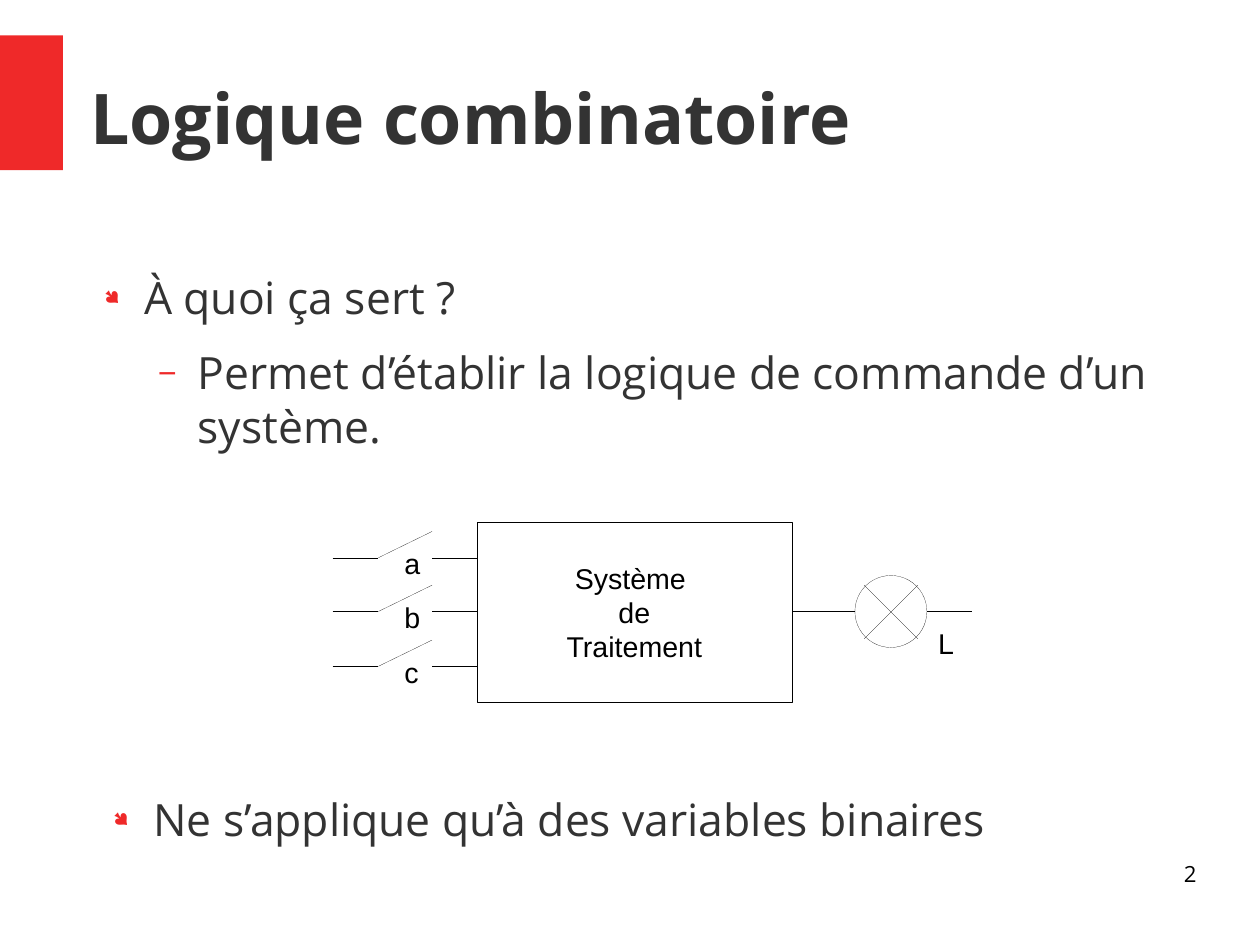
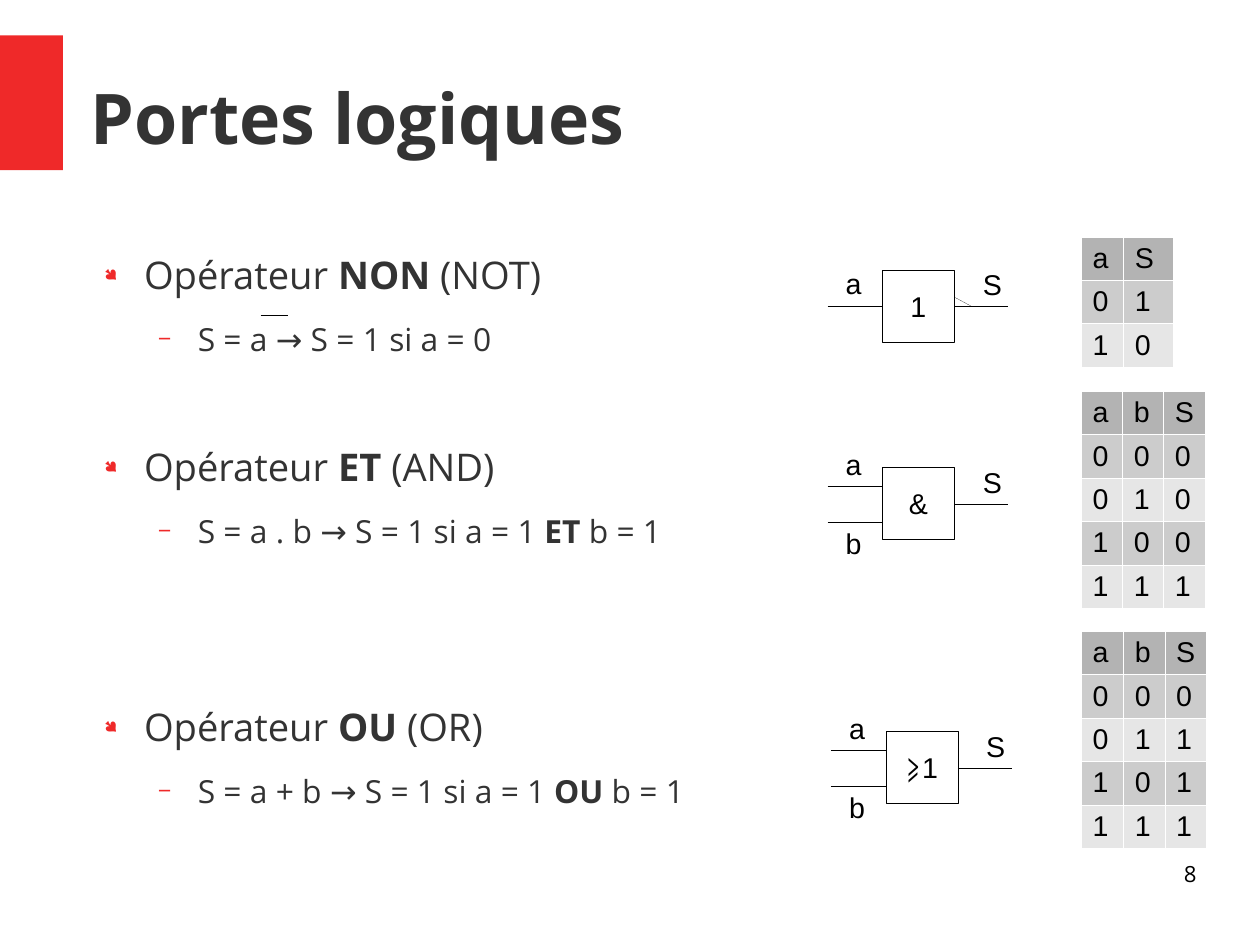
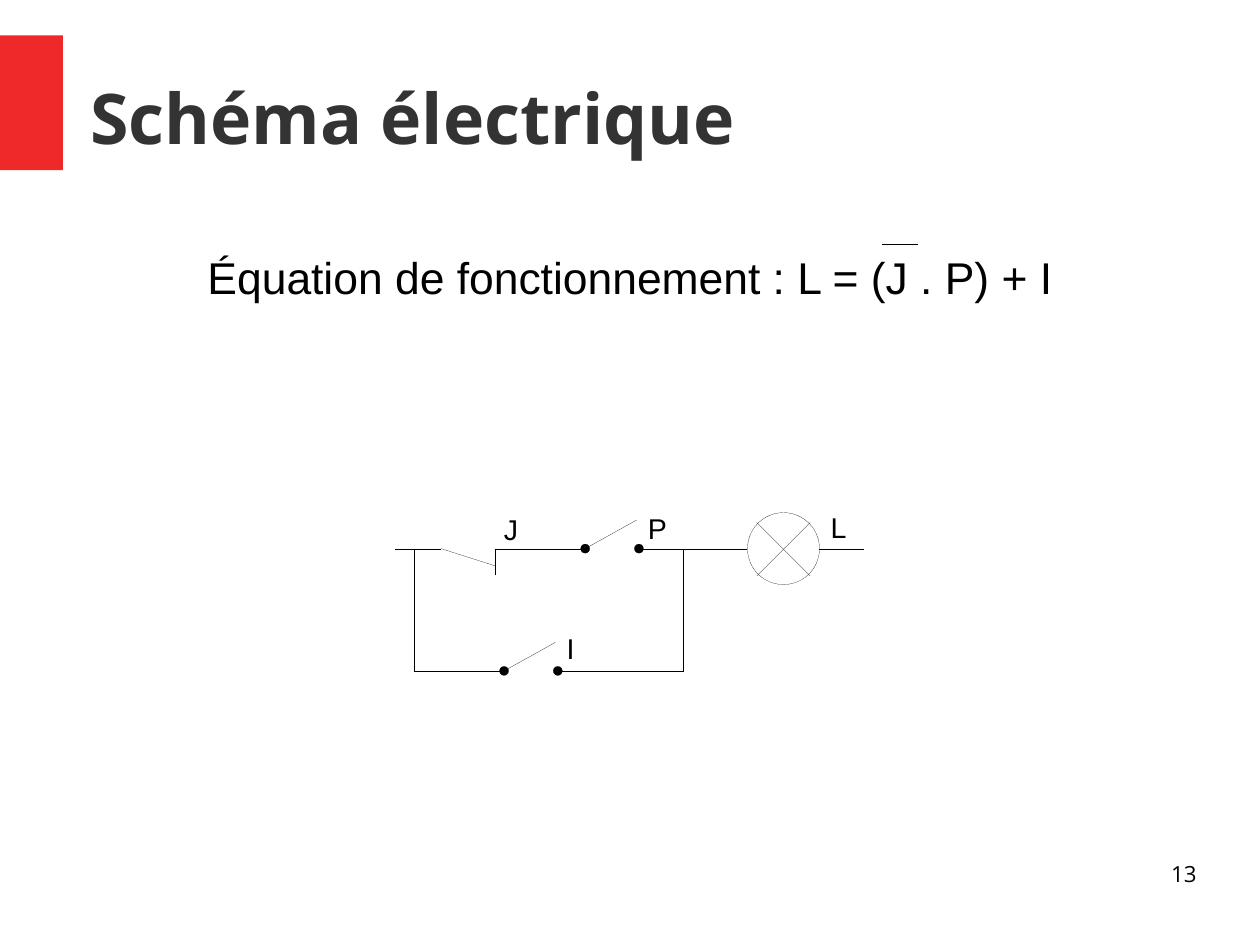
from lxml import etree
from pptx import Presentation
from pptx.dml.color import RGBColor
from pptx.enum.shapes import MSO_CONNECTOR, MSO_SHAPE
from pptx.enum.text import MSO_ANCHOR, MSO_AUTO_SIZE, PP_ALIGN
from pptx.oxml.ns import qn
from pptx.util import Inches, Pt

COLORS = {
    "band": "EF2929", "text": "333333", "ink": "000000", "border": "FFFFFF",
    "header": "B3B3B3", "odd": "CCCCCC", "even": "E6E6E6",
}
TITLE_FONT = {"name": "Open Sans", "size": Pt(44), "bold": True}
NUMBER_FONT = {"name": "Open Sans", "size": Pt(14)}
LABEL_FONT = {"name": "Arial", "size": Pt(18)}
EQUATION_FONT = {"name": "Arial", "size": Pt(28)}
NO_MARGINS = {
    "margin_left": 0, "margin_right": 0, "margin_top": 0, "margin_bottom": 0,
    "auto_size": MSO_AUTO_SIZE.NONE, "word_wrap": True,
}
CENTERED = {"vertical_anchor": MSO_ANCHOR.MIDDLE, "word_wrap": False}
LABEL_FRAME = {"auto_size": MSO_AUTO_SIZE.NONE, "word_wrap": False}
BULLETS = [
    {"indent": 0.47, "mark": "●", "face": "Wingdings", "percent": 45, "after": 14.1},
    {"indent": 0.94, "mark": "−", "face": "Open Sans", "percent": 75, "after": 11.3},
]
HANGING = 0.35
HAIRLINE = Pt(0.1)
LAMP = 0.63
DOT = 0.08
ROW = 0.38


def wire(slide, x1, y1, x2, y2):
    line = slide.shapes.add_connector(
        MSO_CONNECTOR.STRAIGHT, Inches(x1), Inches(y1), Inches(x2), Inches(y2))
    line.line.color.rgb = RGBColor.from_string(COLORS["ink"])
    line.line.width = HAIRLINE
    etree.SubElement(line.element.spPr, qn("a:effectLst"))


def write(frame, lines, font, color="ink", align=PP_ALIGN.LEFT, **frame_format):
    for key, value in frame_format.items():
        setattr(frame, key, value)
    for index, text in enumerate(lines):
        paragraph = frame.add_paragraph() if index else frame.paragraphs[0]
        paragraph.alignment = align
        for part, words in enumerate(text.split("*")):
            run = paragraph.add_run()
            run.text = words
            for key, value in font.items():
                setattr(run.font, key, value)
            run.font.color.rgb = RGBColor.from_string(COLORS[color])
            if part % 2:
                run.font.bold = True


system_wires = [(6.93, 5.35, 7.48, 5.35)]
system_labels = [("L", 8.11, 5.43)]
for name, y in zip("abc", (4.88, 5.35, 5.83)):
    system_wires += [(2.91, y, 3.31, y), (3.31, y, 3.78, y - 0.23), (3.78, y, 4.17, y)]
    system_labels.append((name, 3.44, y - 0.15))

gate_wires = [(2.28, 2.76, 2.52, 2.76), (8.35, 2.6, 8.5, 2.68)]
gate_labels, gate_blocks = [], []
for symbol, x, y, inputs in [
    ("1", 7.72, 2.68, [("a", 0, -0.4)]),
    ("&", 7.72, 4.41, [("a", -0.16, -0.55), ("b", 0.16, 0.14)]),
    ("⩾1", 7.75, 6.72, [("a", -0.16, -0.55), ("b", 0.16, 0.14)]),
]:
    gate_blocks.append(([symbol], x, y - 0.32, 0.63, 0.63))
    gate_wires.append((x + 0.63, y, x + 1.1, y))
    gate_labels.append(("S", x + 0.78, y - 0.39))
    for name, pin, lift in inputs:
        gate_wires.append((x - 0.48, y + pin, x, y + pin))
        gate_labels.append((name, x - 0.42, y + lift))

circuit_wires = [
    (7.72, 2.14, 8.03, 2.14), (3.46, 4.8, 3.86, 4.8), (3.86, 4.8, 4.33, 4.95),
    (4.33, 4.8, 4.33, 5.03), (4.33, 4.8, 5.12, 4.8), (5.59, 4.8, 6.54, 4.8),
    (3.62, 5.87, 4.41, 5.87), (4.88, 5.87, 5.98, 5.87),
    (3.62, 4.8, 3.62, 5.87), (5.98, 4.8, 5.98, 5.87),
]
circuit_dots = []
for x, y in [(5.12, 4.8), (4.41, 5.87)]:
    circuit_wires.append((x, y, x + 0.45, y - 0.25))
    circuit_dots += [(x, y), (x + 0.47, y)]

lessons = [
    {
        "title": "Logique combinatoire", "number": "2", "layout": 3,
        "lists": [
            (0.79, 2.36, 1.73, [
                (0, 28, "À quoi ça sert\u00a0?", None),
                (1, 28, "Permet d’établir la logique de commande d’un système.", None)]),
            (0.87, 6.93, 1.73, [(0, 28, "Ne s’applique qu’à des variables binaires", None)]),
        ],
        "wires": system_wires, "labels": system_labels, "lamps": [(7.48, 5.35)], "dots": [],
        "blocks": [(["Système ", "de", "Traitement"], 4.17, 4.57, 2.76, 1.57)],
    },
    {
        "title": "Portes logiques", "number": "8", "layout": 1,
        "lists": [(0.79, 2.2, 5.59, [
            (0, 24, "Opérateur *NON *(NOT)", None),
            (1, 20, "S = a → S = 1 si a = 0", 54),
            (0, 24, "Opérateur *ET* (AND)", None),
            (1, 20, "S = a . b → S = 1 si a = 1 *ET* b = 1", 97),
            (0, 24, "Opérateur *OU* (OR)", None),
            (1, 20, "S = a + b → S = 1 si a = 1 *OU* b = 1", None)])],
        "wires": gate_wires, "labels": gate_labels, "lamps": [], "dots": [],
        "blocks": gate_blocks,
    },
    {
        "title": "Schéma électrique", "number": "13", "layout": 5, "lists": [],
        "wires": circuit_wires, "lamps": [(6.54, 4.8)], "dots": circuit_dots, "blocks": [],
        "labels": [("J", 4.31, 4.43), ("P", 5.57, 4.42), ("L", 7.17, 4.41), ("I", 4.86, 5.47)],
    },
]

prs = Presentation()
prs.slide_width = Inches(28 / 2.54)
prs.slide_height = Inches(21 / 2.54)
slides = []

for lesson in lessons:
    slide = prs.slides.add_slide(prs.slide_layouts[lesson["layout"]])
    slides.append(slide)
    title, *bodies = slide.placeholders
    title.left, title.top, title.width, title.height = map(Inches, (0.79, 0.33, 9.68, 1.38))
    write(title.text_frame, [lesson["title"]], TITLE_FONT, "text",
          vertical_anchor=MSO_ANCHOR.MIDDLE, **NO_MARGINS)

    for body, (x, y, height, items) in zip(bodies, lesson["lists"]):
        body.left, body.top, body.width, body.height = map(Inches, (x, y, 9.45, height))
        write(body.text_frame, [text for _, _, text, _ in items],
              {"name": "Open Sans"}, "text", **NO_MARGINS)
        for paragraph, (level, size, _, gap) in zip(body.text_frame.paragraphs, items):
            bullet = BULLETS[level]
            spacing = {"level": level, "line_spacing": 1.0, "space_before": Pt(0),
                       "space_after": Pt(gap or bullet["after"])}
            for key, value in spacing.items():
                setattr(paragraph, key, value)
            for run in paragraph.runs:
                run.font.size = Pt(size)
            props = paragraph._p.get_or_add_pPr()
            props.set("marL", str(Inches(bullet["indent"])))
            props.set("indent", str(-Inches(HANGING)))
            tint = etree.SubElement(props, qn("a:buClr"))
            etree.SubElement(tint, qn("a:srgbClr"), val=COLORS["band"])
            etree.SubElement(props, qn("a:buSzPct"), val=str(bullet["percent"] * 1000))
            etree.SubElement(props, qn("a:buFont"), typeface=bullet["face"])
            etree.SubElement(props, qn("a:buChar"), char=bullet["mark"])

    outlines = [(MSO_SHAPE.RECTANGLE, *block, False) for block in lesson["blocks"]]
    outlines += [(MSO_SHAPE.OVAL, [], x, y - LAMP / 2, LAMP, LAMP, False)
                 for x, y in lesson["lamps"]]
    outlines += [(MSO_SHAPE.OVAL, [], x - DOT / 2, y - DOT / 2, DOT, DOT, True)
                 for x, y in lesson["dots"]]
    for kind, lines, x, y, width, height, solid in outlines:
        part = slide.shapes.add_shape(kind, *map(Inches, (x, y, width, height)))
        part.shadow.inherit = False
        part.line.color.rgb = RGBColor.from_string(COLORS["ink"])
        part.line.width = HAIRLINE
        if solid:
            part.fill.solid()
            part.fill.fore_color.rgb = RGBColor.from_string(COLORS["ink"])
        else:
            part.fill.background()
        write(part.text_frame, lines, LABEL_FONT, align=PP_ALIGN.CENTER, **CENTERED)

    for x, y in lesson["lamps"]:
        wire(slide, x + 0.08, y + 0.24, x + 0.55, y - 0.23)
        wire(slide, x + 0.08, y - 0.23, x + 0.55, y + 0.24)
        wire(slide, x + LAMP, y, x + 1.02, y)
    for ends in lesson["wires"]:
        wire(slide, *ends)
    for name, x, y in lesson["labels"]:
        label = slide.shapes.add_textbox(*map(Inches, (x, y, 0.34, 0.38)))
        write(label.text_frame, [name], LABEL_FONT, **LABEL_FRAME)

    number = slide.shapes.add_textbox(*map(Inches, (7.9, 7.53, 2.57, 0.57)))
    write(number.text_frame, [lesson["number"]], NUMBER_FONT, align=PP_ALIGN.RIGHT, **NO_MARGINS)

system_slide, gates_slide, circuit_slide = slides

band = system_slide.shapes.add_shape(MSO_SHAPE.RECTANGLE, *map(Inches, (0, 0.31, 0.55, 1.18)))
band.shadow.inherit = False
band.fill.solid()
band.fill.fore_color.rgb = RGBColor.from_string(COLORS["band"])
band.line.fill.background()
prs.slide_master.shapes.element.insert(2, band.element)

for y, widths, rows in [
    (2.07, (0.37, 0.43), ["aS", "01", "10"]),
    (3.42, (0.36, 0.36, 0.36), ["abS", "000", "010", "100", "111"]),
    (5.52, (0.37, 0.36, 0.36), ["abS", "000", "011", "101", "111"]),
]:
    truth = gates_slide.shapes.add_table(
        len(rows), len(widths), Inches(9.46), Inches(y),
        Inches(sum(widths)), Inches(ROW * len(rows))).table
    for column, width in zip(truth.columns, widths):
        column.width = Inches(width)
    for r, values in enumerate(rows):
        truth.rows[r].height = Inches(ROW)
        shade = "header" if r == 0 else "odd" if r % 2 else "even"
        for c, value in enumerate(values):
            cell = truth.cell(r, c)
            write(cell.text_frame, [value], {**LABEL_FONT, "bold": False})
            cell.fill.solid()
            cell.fill.fore_color.rgb = RGBColor.from_string(COLORS[shade])
            props = cell._tc.get_or_add_tcPr()
            for place, side in enumerate(("a:lnL", "a:lnR", "a:lnT", "a:lnB")):
                edge = etree.Element(qn(side), w="762")
                props.insert(place, edge)
                paint = etree.SubElement(edge, qn("a:solidFill"))
                etree.SubElement(paint, qn("a:srgbClr"), val=COLORS["border"])

equation = circuit_slide.shapes.add_textbox(*map(Inches, (0, 2.14, 11.02, 0.53)))
write(equation.text_frame, ["Équation de fonctionnement\u00a0: L = (J . P) + I"],
      EQUATION_FONT, align=PP_ALIGN.CENTER, word_wrap=True)

prs.save("out.pptx")
